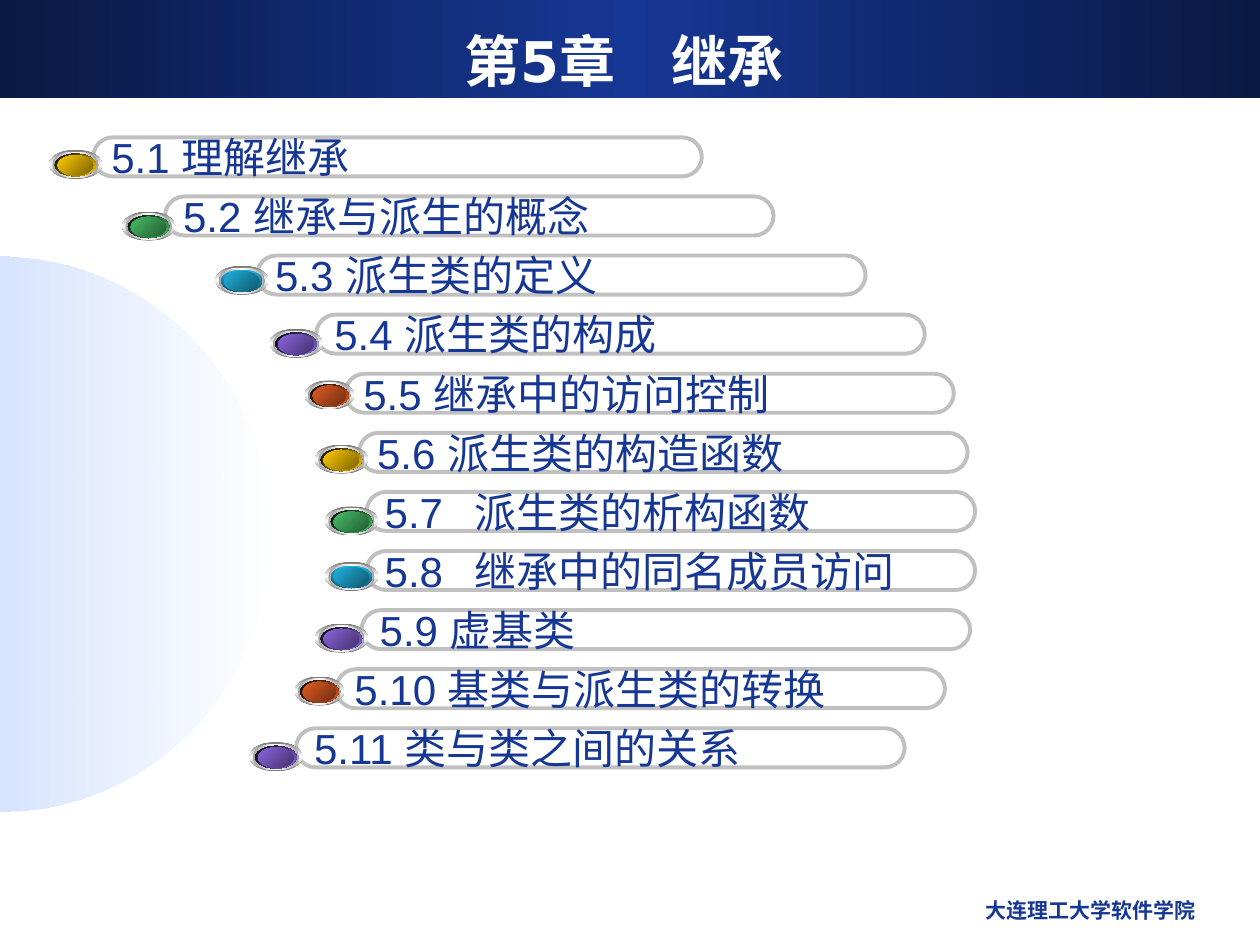
from math import cos, pi, sin
from typing import NamedTuple

from pptx import Presentation
from pptx.dml.color import RGBColor
from pptx.enum.shapes import MSO_SHAPE as Preset
from pptx.enum.text import MSO_ANCHOR as Anchor, PP_ALIGN as Align
from pptx.oxml import parse_xml
from pptx.oxml.ns import nsdecls, qn
from pptx.util import Inches, Pt

NAVY = "163794"
MIDNIGHT = "0A1944"
WHITE = "FFFFFF"
SILVER = "C0C0C0"


class Stop(NamedTuple):
    position: int
    colour: str
    opacity: int = 100


class Gem(NamedTuple):
    rim: tuple[str, str]
    rim_angle: int
    core: tuple[str, str]
    width: float = 0.42


class Section(NamedTuple):
    text: str
    left: float
    gem: Gem
    gem_left: float
    gem_top: float


class Ring(NamedTuple):
    """An ellipse placed by fractions of the whole bullet."""
    left: float
    top: float
    width: float
    height: float
    stops: list[Stop]
    angle: int


GOLD = Gem(("000000", "FFCC00"), 45, ("FFCC00", "7C6300"))
GREEN = Gem(("000000", "48BE67"), 45, ("48BE67", "235C32"))
CYAN = Gem(("21B3E1", "0F5368"), 90, ("21B3E1", "10576D"))
VIOLET = Gem(("000000", "8D67E1"), 45, ("8D67E1", "45326D"))
ORANGE = Gem(("000000", "E35E23"), 45, ("E35E23", "6E2E11"), 0.39)

SECTIONS = [
    Section("5.1 理解继承", 0.74, GOLD, 0.39, 1.19),
    Section("5.2 继承与派生的概念", 1.31, GREEN, 0.97, 1.68),
    Section("5.3 派生类的定义", 2.04, CYAN, 1.71, 2.11),
    Section("5.4 派生类的构成", 2.51, VIOLET, 2.14, 2.61),
    Section("5.5 继承中的访问控制", 2.74, ORANGE, 2.42, 3.02),
    Section("5.6 派生类的构造函数", 2.85, GOLD, 2.5, 3.53),
    Section("5.7\t派生类的析构函数", 2.91, GREEN, 2.58, 4.02),
    Section("5.8\t继承中的同名成员访问", 2.91, CYAN, 2.58, 4.46),
    Section("5.9 虚基类", 2.87, VIOLET, 2.5, 4.95),
    Section("5.10 基类与派生类的转换", 2.67, ORANGE, 2.34, 5.37),
    Section("5.11 类与类之间的关系", 2.35, VIOLET, 1.98, 5.89),
]
FIRST_TOP, LAST_TOP = 1.09, 5.78
ROW_STEP = (LAST_TOP - FIRST_TOP) / (len(SECTIONS) - 1)
GEM_HEIGHT = 0.23


def rgb(colour: str) -> RGBColor:
    return RGBColor.from_string(colour)


def frame(left: float, top: float, width: float, height: float) -> list:
    return [Inches(length) for length in (left, top, width, height)]


def mirrored(edge: str, middle: str) -> list[Stop]:
    return [Stop(0, edge), Stop(50, middle), Stop(100, edge)]


def fill_gradient(shape, stops: list[Stop], angle: int) -> None:
    """Give a borderless shape a linear gradient, angle in clockwise degrees."""
    shape.shadow.inherit = False
    shape.line.fill.background()
    shape.fill.background()
    marks = "".join(
        f'<a:gs pos="{stop.position * 1000}"><a:srgbClr val="{stop.colour}">'
        f'<a:alpha val="{stop.opacity * 1000}"/></a:srgbClr></a:gs>'
        for stop in stops
    )
    gradient = parse_xml(
        f'<a:gradFill {nsdecls("a")} rotWithShape="1"><a:gsLst>{marks}</a:gsLst>'
        f'<a:lin ang="{angle * 60000}" scaled="0"/></a:gradFill>'
    )
    properties = shape.element.spPr
    properties.replace(properties.find(qn("a:noFill")), gradient)


def write(box, text: str, size: int, colour: str, align: Align,
          font: str = "Arial", bold: bool = False):
    para = box.text_frame.paragraphs[0]
    para.alignment = align
    span = para.add_run()
    span.text = text
    span.font.size = Pt(size)
    span.font.name = font
    span.font.bold = bold
    span.font.color.rgb = rgb(colour)
    return para


def add_half_disc(page, top: float, radius: float) -> None:
    """Draw the right half of a disc standing on the left page edge."""
    steps = 90
    points = [
        (Inches(radius[0] * sin(pi * step / steps)),
         Inches(top + radius[1] * (1 - cos(pi * step / steps))))
        for step in range(steps + 1)
    ]
    builder = page.shapes.build_freeform(*points[0])
    builder.add_line_segments(points[1:], close=True)
    fill_gradient(builder.convert_to_shape(),
                  [Stop(0, "B3CCFF", 52), Stop(100, WHITE, 48)], 0)


def add_capsule(page, section: Section, top: float) -> None:
    capsule = page.shapes.add_shape(
        Preset.ROUNDED_RECTANGLE, *frame(section.left, top, 4.83, 0.31))
    capsule.adjustments[0] = 0.5
    capsule.shadow.inherit = False
    capsule.fill.background()
    capsule.line.color.rgb = rgb(SILVER)
    capsule.line.width = Pt(2.25)
    capsule.text_frame.word_wrap = False
    capsule.text_frame.vertical_anchor = Anchor.MIDDLE
    para = write(capsule, section.text, 24, NAVY, Align.LEFT)
    if "\t" in section.text:
        para._p.get_or_add_pPr().append(parse_xml(
            f'<a:tabLst {nsdecls("a")}><a:tab pos="{Inches(0.71)}" algn="l"/></a:tabLst>'))


def add_gem(page, section: Section) -> None:
    gem = section.gem
    rim, core = ([Stop(0, pair[0]), Stop(100, pair[1])] for pair in (gem.rim, gem.core))
    rings = [
        Ring(0, 0, 1, 1, mirrored("767676", WHITE), 90),
        Ring(0.06, 0.06, 0.88, 0.91, mirrored("A2A2A2", WHITE), 0),
        Ring(0.11, 0.13, 0.78, 0.78, rim, gem.rim_angle),
        Ring(0.16, 0.18, 0.67, 0.7, core, 45),
    ]
    group = page.shapes.add_group_shape()
    for ring in rings:
        ellipse = group.shapes.add_shape(Preset.OVAL, *frame(
            section.gem_left + ring.left * gem.width,
            section.gem_top + ring.top * GEM_HEIGHT,
            ring.width * gem.width, ring.height * GEM_HEIGHT))
        fill_gradient(ellipse, ring.stops, ring.angle)


def main() -> None:
    deck = Presentation()
    deck.slide_width, deck.slide_height = Inches(10), Inches(7.5)
    page = deck.slides.add_slide(deck.slide_layouts[6])

    # Title band
    band = page.shapes.add_shape(Preset.RECTANGLE, *frame(0, 0, 10, 0.78))
    fill_gradient(band, mirrored(MIDNIGHT, NAVY), 0)
    title = page.shapes.add_textbox(*frame(0.33, 0.17, 9.25, 0.62))
    title.text_frame.word_wrap = True
    title.text_frame.vertical_anchor = Anchor.MIDDLE
    write(title, "第5章　继承", 32, WHITE, Align.CENTER, "DejaVu Sans", True)

    # Footer
    footer = page.shapes.add_textbox(*frame(6.42, 7.07, 3.17, 0.35))
    footer.text_frame.word_wrap = True
    write(footer, "大连理工大学软件学院", 12, NAVY, Align.RIGHT, bold=True)

    # Section list around the half disc
    add_half_disc(page, 2.04, (2.15, 2.2))
    for row, section in enumerate(SECTIONS):
        add_capsule(page, section, FIRST_TOP + row * ROW_STEP)
        add_gem(page, section)

    deck.save("out.pptx")


if __name__ == "__main__":
    main()
